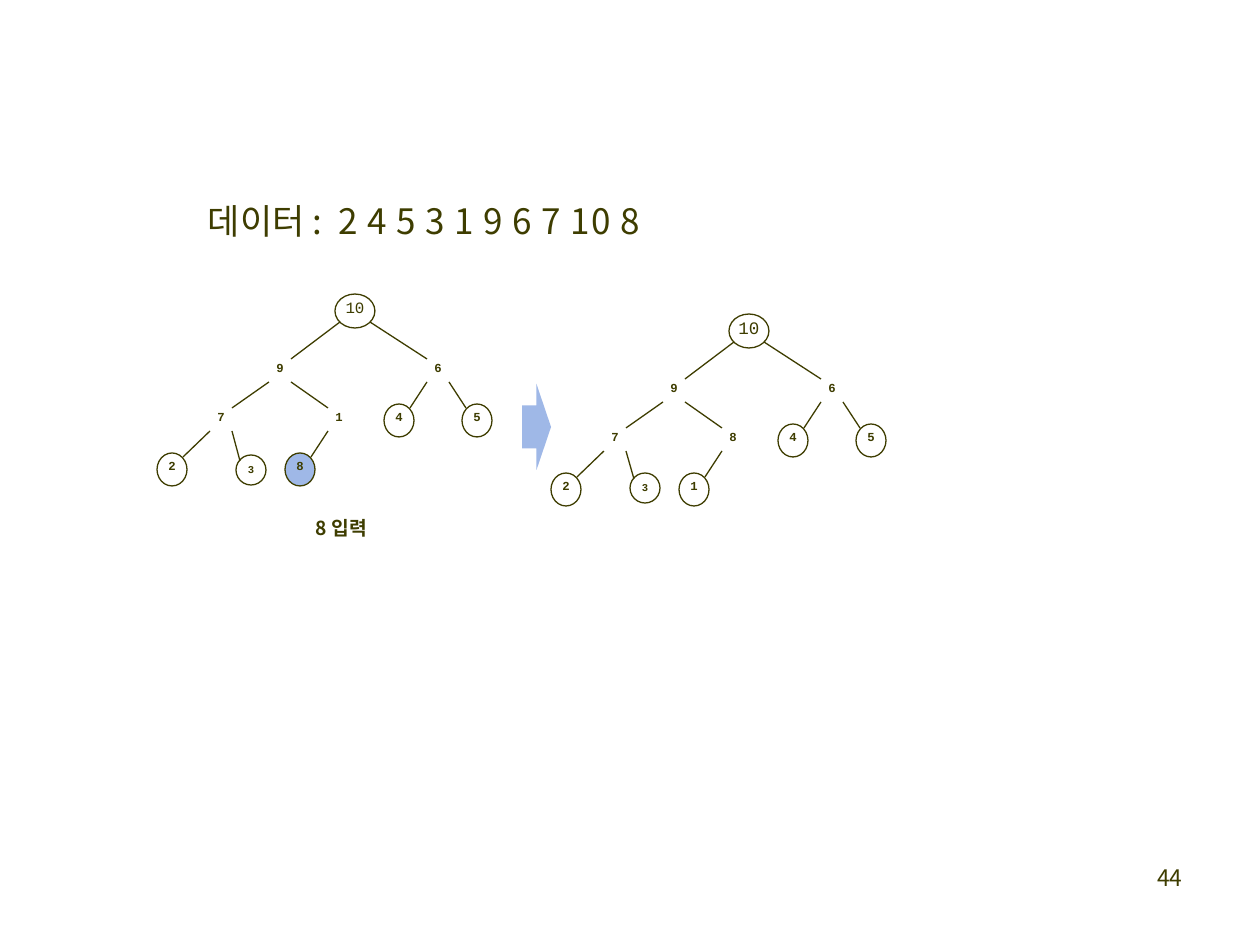
from dataclasses import dataclass

from lxml.etree import SubElement
from pptx import Presentation
from pptx.dml.color import RGBColor
from pptx.enum.shapes import MSO_CONNECTOR, MSO_SHAPE
from pptx.enum.text import MSO_ANCHOR, MSO_AUTO_SIZE, PP_ALIGN
from pptx.oxml.ns import qn
from pptx.util import Inches, Pt

PX_PER_INCH = 126
INK = "3E3D00"
HIGHLIGHT = "9FB8E7"
SANS = "Noto Sans CJK KR"
MONO = "Courier New"
UNCIRCLED = range(1, 5)


@dataclass(frozen=True)
class Box:
    left: int
    top: int
    width: int
    height: int

    def emu(self) -> list[int]:
        return [px(value) for value in (self.left, self.top, self.width, self.height)]


@dataclass(frozen=True)
class Style:
    font: str
    size: int
    bold: bool = False
    align: PP_ALIGN = PP_ALIGN.LEFT


@dataclass(frozen=True)
class Node:
    x: int
    y: int
    width: int = 30
    height: int = 33
    label_lift: int = 4
    reach: int = 11
    font_size: int = 7


@dataclass(frozen=True)
class Tree:
    x: int
    y: int
    values: tuple[int, ...]
    root_size: int
    three_y: int
    highlighted: int | None = None

    def nodes(self) -> list[Node]:
        return [
            Node(355, 311, 40, 34, reach=15, font_size=self.root_size),
            Node(280, 371),
            Node(438, 371),
            Node(221, 420),
            Node(339, 420),
            Node(399, 420),
            Node(477, 420),
            Node(172, 469),
            Node(251, self.three_y, 30, 30, label_lift=1, font_size=6),
            Node(300, 469),
        ]


TREES = (
    Tree(0, 0, (10, 9, 6, 7, 1, 4, 5, 2, 3, 8), 9, 470, highlighted=9),
    Tree(394, 20, (10, 9, 6, 7, 8, 4, 5, 2, 3, 1), 10, 468),
)


def px(value: int) -> int:
    return round(value * Inches(1) / PX_PER_INCH)


def color(value: str) -> RGBColor:
    return RGBColor.from_string(value)


def format_text(shape, style: Style) -> None:
    frame = shape.text_frame
    frame.word_wrap = True
    frame.auto_size = MSO_AUTO_SIZE.NONE
    frame.vertical_anchor = MSO_ANCHOR.MIDDLE
    frame.margin_left = frame.margin_right = frame.margin_bottom = 0
    frame.margin_top = px(1)
    paragraph = frame.paragraphs[0]
    paragraph.alignment = style.align
    paragraph.space_before = Pt(0)
    paragraph.line_spacing = 1.0
    font = paragraph.font
    font.name = style.font
    font.size = Pt(style.size)
    font.bold = style.bold
    font.color.rgb = color(INK)
    SubElement(font._rPr, qn("a:ea")).set("typeface", style.font)


def add_text(slide, box: Box, text: str, style: Style) -> None:
    shape = slide.shapes.add_textbox(*box.emu())
    shape.text_frame.text = text
    format_text(shape, style)


def add_shape(slide, kind: MSO_SHAPE, box: Box, fill: str | None, outlined: bool) -> None:
    shape = slide.shapes.add_shape(kind, *box.emu())
    shape.shadow.inherit = False
    if fill:
        shape.fill.solid()
        shape.fill.fore_color.rgb = color(fill)
    else:
        shape.fill.background()
    if outlined:
        shape.line.color.rgb = color(INK)
        shape.line.width = Pt(0.75)
    else:
        shape.line.fill.background()


def add_edge(slide, tree: Tree, parent: Node, child: Node) -> None:
    side = 1 if child.x > parent.x else -1
    start = (parent.x + side * parent.reach, parent.y - parent.label_lift + 15)
    end = (child.x - side * child.reach, child.y - child.label_lift - 8)
    points = [px(value) for x, y in (start, end) for value in (x + tree.x, y + tree.y)]
    connector = slide.shapes.add_connector(MSO_CONNECTOR.STRAIGHT, *points)
    connector.line.color.rgb = color(INK)
    connector.line.width = Pt(0.75)
    SubElement(connector._element.spPr, qn("a:effectLst"))


def add_node(slide, tree: Tree, index: int, node: Node) -> None:
    x, y = node.x + tree.x, node.y + tree.y
    if index not in UNCIRCLED:
        box = Box(x - node.width // 2, y - node.height // 2, node.width, node.height)
        fill = HIGHLIGHT if index == tree.highlighted else None
        add_shape(slide, MSO_SHAPE.OVAL, box, fill, True)
    is_root = index == 0
    width, height = (24, 24) if is_root else (12, 18)
    label = Box(x - width // 2, y - node.label_lift - height // 2, width, height)
    style = Style(MONO, node.font_size, not is_root, PP_ALIGN.CENTER)
    add_text(slide, label, str(tree.values[index]), style)


def add_tree(slide, tree: Tree) -> None:
    nodes = tree.nodes()
    for index, node in enumerate(nodes):
        if index:
            add_edge(slide, tree, nodes[(index - 1) // 2], node)
        add_node(slide, tree, index, node)


def add_title(slide) -> None:
    title = slide.shapes.title
    title.left, title.top, title.width, title.height = Box(208, 198, 469, 45).emu()
    paragraph = title.text_frame.paragraphs[0]
    for text, spacing in (("데이터 ", 0), (": ", 230), ("2 4 5 3 1 9 6 7 10 8", 50)):
        run = paragraph.add_run()
        run.text = text
        run._r.get_or_add_rPr().set("spc", str(spacing))
    format_text(title, Style(SANS, 20))


def main() -> None:
    presentation = Presentation()
    presentation.slide_width = Inches(10)
    presentation.slide_height = Inches(7.5)
    slide = presentation.slides.add_slide(presentation.slide_layouts[5])
    add_title(slide)
    add_shape(slide, MSO_SHAPE.RIGHT_ARROW, Box(522, 384, 29, 86), HIGHLIGHT, False)
    for tree in TREES:
        add_tree(slide, tree)
    add_text(slide, Box(316, 514, 60, 27), "8 입력", Style(SANS, 11, True))
    add_text(slide, Box(1157, 862, 30, 30), "44", Style(SANS, 13))
    presentation.save("out.pptx")


if __name__ == "__main__":
    main()
